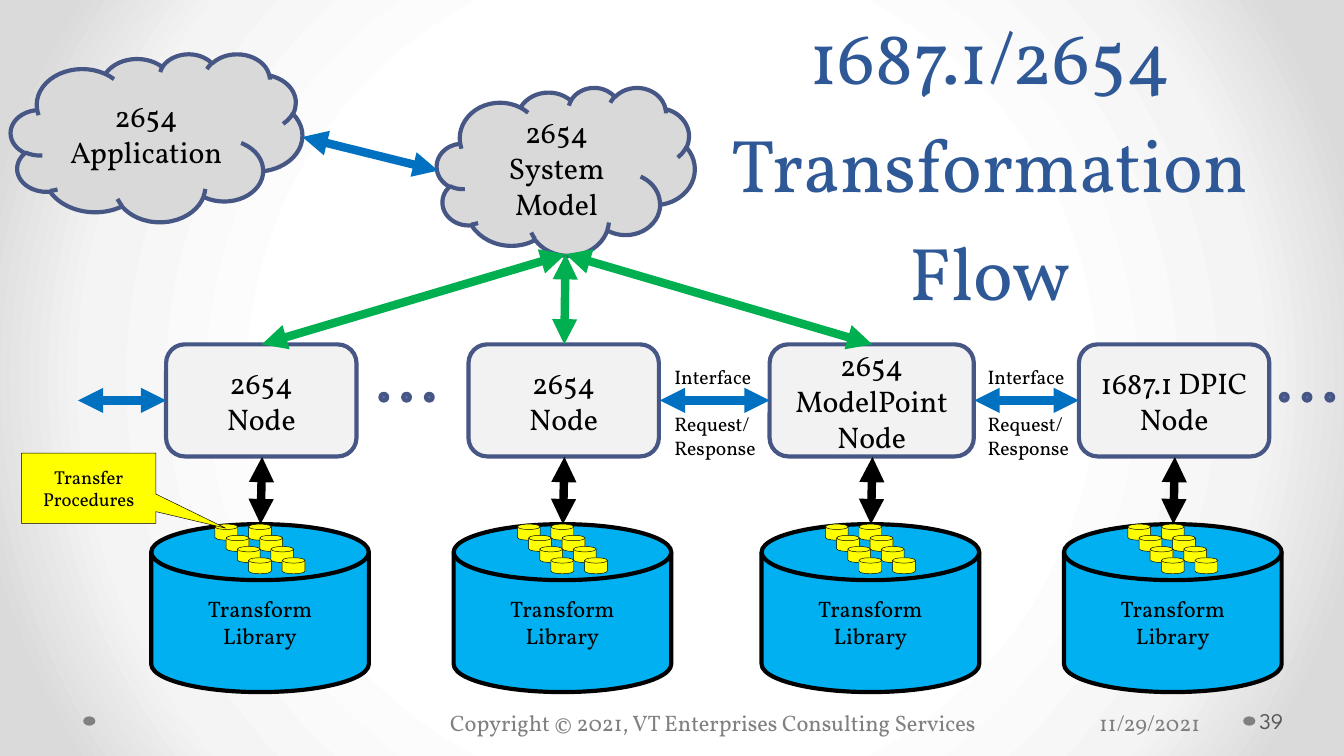
from pptx import Presentation
from pptx.dml.color import RGBColor
from pptx.enum import shapes, text
from pptx.oxml import parse_xml
from pptx.oxml.ns import nsdecls, qn
from pptx.util import Pt

THEME = {
    "font": "Vollkorn", "number_font": "League Spartan",
    "title": "2F5897", "footer": "808080", "number": "595959", "black": "000000",
    "outline": "475785", "cloud": "D9D9D9", "node": "F2F2F2", "dot": "6076B4",
    "library": "00B0F0", "procedure": "FFFF00",
    "blue": "0070C0", "green": "00B050",
    "title_size": 40, "node_size": 16, "small_size": 12, "label_size": 10.5, "callout_size": 10,
    "backdrop": [(50, "FFFFFF"), (76, "F4F4F4"), (92, "DADADA")],
}
KIND = shapes.MSO_SHAPE
DISK = KIND.FLOWCHART_MAGNETIC_DISK
LEFT, CENTER = text.PP_ALIGN.LEFT, text.PP_ALIGN.CENTER
TOP, MIDDLE, BOTTOM = text.MSO_ANCHOR.TOP, text.MSO_ANCHOR.MIDDLE, text.MSO_ANCHOR.BOTTOM

prs = Presentation()
prs.slide_width, prs.slide_height = Pt(720), Pt(405)
s = prs.slides.add_slide(prs.slide_layouts[6])


def add_block(parent, kind, x, y, w, h, fill, line=None, width=2.25, words="", size="node_size"):
    sp = parent.add_shape(kind, Pt(x), Pt(y), Pt(w), Pt(h))
    sp.shadow.inherit = False
    sp.fill.solid()
    sp.fill.fore_color.rgb = RGBColor.from_string(THEME[fill])
    if line:
        sp.line.color.rgb = RGBColor.from_string(THEME[line])
        sp.line.width = Pt(width)
    else:
        sp.line.fill.background()
    if words:
        tf = sp.text_frame
        tf.word_wrap = True
        tf.vertical_anchor = MIDDLE
        p = tf.paragraphs[0]
        p.text = words
        p.alignment = CENTER
        for r in p.runs:
            r.font.name, r.font.size = THEME["font"], Pt(THEME[size])
            r.font.color.rgb = RGBColor.from_string(THEME["black"])
    return sp


def add_arrow(x1, y1, x2, y2, color):
    line = s.shapes.add_connector(shapes.MSO_CONNECTOR.STRAIGHT, Pt(x1), Pt(y1), Pt(x2), Pt(y2))
    line.line.color.rgb = RGBColor.from_string(THEME[color])
    line.line.width = Pt(4.5)
    ln = line.line._get_or_add_ln()
    for end in ("headEnd", "tailEnd"):
        ln.append(parse_xml(f'<a:{end} {nsdecls("a")} type="triangle"/>'))
    line._element.spPr.append(parse_xml(f'<a:effectLst {nsdecls("a")}/>'))


# Background: radial gradient
stops = "".join(f'<a:gs pos="{pos * 1000}"><a:srgbClr val="{color}"/></a:gs>'
                for pos, color in THEME["backdrop"])
s.background.fill.gradient()
bg_pr = s._element.cSld.find(qn("p:bg")).find(qn("p:bgPr"))
bg_pr.replace(bg_pr.find(qn("a:gradFill")), parse_xml(
    f'<a:gradFill {nsdecls("a")} rotWithShape="1"><a:gsLst>{stops}</a:gsLst><a:path path="circle">'
    '<a:fillToRect l="50000" t="50000" r="50000" b="50000"/></a:path></a:gradFill>'))

# Footer dots
for x in (44.6, 666):
    add_block(s.shapes, KIND.OVAL, x, 383.8, 6.5, 5, "footer")

# Title, footer and interface labels
interface = ["Interface", "Request/\vResponse"]
texts = [
    (["1687.1/2654 Transformation Flow"], 383.8, 0, 293, 172.8, "title", "title_size", CENTER, BOTTOM),
    (["Copyright © 2021, VT Enterprises Consulting Services"],
     234, 376.6, 306, 21.6, "footer", "small_size", LEFT, TOP),
    (["11/29/2021"], 581.8, 376.6, 83.5, 20.2, "footer", "small_size", LEFT, TOP),
    (["39"], 672.5, 375.1, 43.9, 21.6, "number", "small_size", LEFT, MIDDLE),
    (interface, 354.2, 192.2, 59.8, 58.3, "black", "label_size", LEFT, TOP),
    (interface, 522, 192.2, 59.8, 58.3, "black", "label_size", LEFT, TOP),
]
for paragraphs, x, y, w, h, color, size, align, anchor in texts:
    tf = s.shapes.add_textbox(Pt(x), Pt(y), Pt(w), Pt(h)).text_frame
    tf.word_wrap = True
    tf.vertical_anchor = anchor
    if color == "number":
        tf.margin_left = Pt(2.2)
        tf.margin_right = Pt(3.6)
    for i, words in enumerate(paragraphs):
        p = tf.add_paragraph() if i else tf.paragraphs[0]
        p.text = words
        p.alignment = align
        if i:
            p.space_before = Pt(12.5)
        if color == "title":
            p.line_spacing = Pt(58)
        for r in p.runs:
            r.font.name = THEME["number_font" if color == "number" else "font"]
            r.font.size = Pt(THEME[size])
            r.font.color.rgb = RGBColor.from_string(THEME[color])

# Columns: node, transform library and its transfer procedures
columns = [(140, 102, "2654\vNode"), (302, 102, "2654\vNode"),
           (467, 109.4, "2654 ModelPoint Node"), (629, 102, "1687.1 DPIC Node")]
for center, width, name in columns:
    add_block(s.shapes, KIND.ROUNDED_RECTANGLE, center - width / 2, 184.5, width, 60,
              "node", "outline", words=name)
    add_block(s.shapes, DISK, center - 59, 280.8, 116.6, 90, "library", "black",
              words="Transform\vLibrary", size="small_size")
    add_arrow(center + 0.4, 244.8, center - 0.4, 280.8, "black")
    group = s.shapes.add_group_shape()
    for col in range(2):
        for row in range(4):
            add_block(group.shapes, DISK, center - 24.8 + 18 * col + 6 * row, 280.8 + 6 * row,
                      12.2, 8.6, "procedure", "black", 0.25)

# Ellipsis dots
for start in (203.8, 686.2):
    group = s.shapes.add_group_shape()
    for i in range(3):
        add_block(group.shapes, KIND.OVAL, start + 12.2 * i, 211, 3.6, 3.6, "dot", "outline")

# Clouds
add_block(s.shapes, KIND.CLOUD, 234, 46.8, 138.2, 90, "cloud", "outline", words="2654 System Model")
add_block(s.shapes, KIND.CLOUD, 5.8, 28.8, 156.2, 90, "cloud", "outline", words="2654\vApplication")

# Arrows between nodes, and between clouds and nodes
for left, right in ((41.8, 89), (353.5, 412.3), (522, 578)):
    add_arrow(right, 214.5, left, 214.5, "blue")
add_arrow(234.7, 91.4, 162, 73.4, "blue")
for center, _, _ in columns[:3]:
    add_arrow(center + 0.3, 184.5, 303, 136.2, "green")

# Callout
callout = add_block(s.shapes, KIND.RECTANGULAR_CALLOUT, 11.5, 242.8, 72, 37.6, "procedure", "black",
                    0.25, "Transfer\vProcedures", "callout_size")
callout.adjustments[0] = 1.02
callout.adjustments[1] = 0.57

prs.save("out.pptx")
